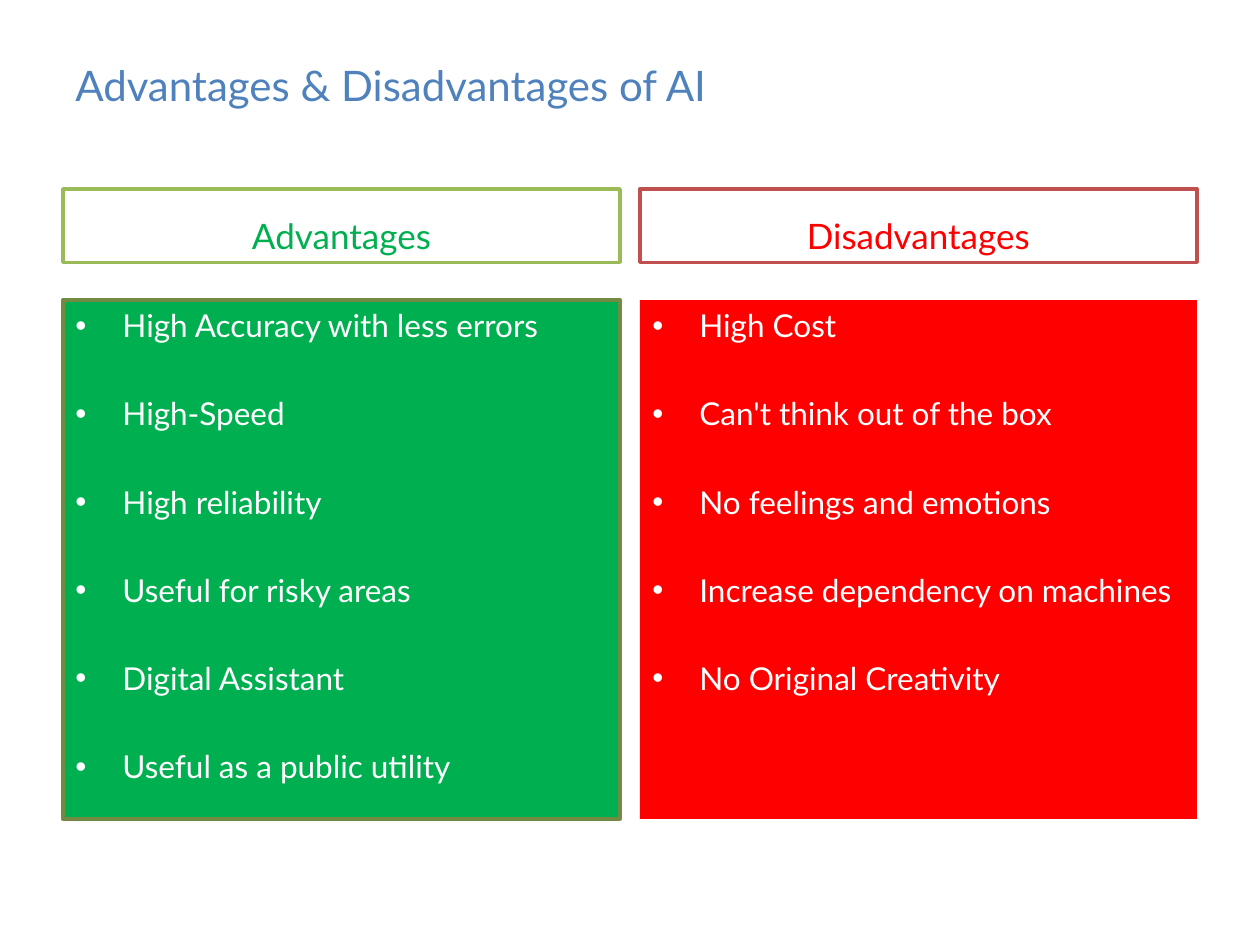
from lxml import etree
from pptx import Presentation
from pptx.dml.color import RGBColor
from pptx.enum import shapes, text
from pptx.oxml import ns
from pptx.util import Cm, Pt

BLUE = RGBColor(0x4F, 0x81, 0xBD)
WHITE = RGBColor(0xFF, 0xFF, 0xFF)
GREEN = RGBColor(0x00, 0xB0, 0x50)
OLIVE = RGBColor(0x73, 0x8A, 0x42)
LIME = RGBColor(0x9B, 0xBB, 0x59)
RED = RGBColor(0xFF, 0x00, 0x00)
BRICK = RGBColor(0xC0, 0x50, 0x4D)

TITLE = "Advantages & Disadvantages of AI"
SIDES = [
    dict(head="Advantages", tint=GREEN, rim=LIME, edge=OLIVE, items=[
        "High Accuracy with less errors",
        "High-Speed",
        "High reliability",
        "Useful for risky areas",
        "Digital Assistant",
        "Useful as a public utility",
    ]),
    dict(head="Disadvantages", tint=RED, rim=BRICK, edge=None, items=[
        "High Cost",
        "Can't think out of the box",
        "No feelings and emotions",
        "Increase dependency on machines",
        "No Original Creativity",
    ]),
]

LEFT, WIDE, GAP = 1.27, 11.23, 0.4
HEAD_TOP, HEAD_HIGH = 3.81, 1.48
LIST_TOP, LIST_HIGH = 6.05, 10.46
INDENT = Cm(0.95)


def write(shape, lines, size, color, anchor, align, bullet=False):
    frame = shape.text_frame
    frame.word_wrap = True
    frame.vertical_anchor = anchor
    for i, line in enumerate(lines):
        para = frame.paragraphs[0] if i == 0 else frame.add_paragraph()
        para.text = line
        para.alignment = align
        if i:
            para.space_before = Pt(28.8)
        if bullet:
            props = para._p.get_or_add_pPr()
            props.set("marL", str(INDENT))
            props.set("indent", str(-INDENT))
            face = etree.SubElement(props, ns.qn("a:buFont"))
            face.set("typeface", "Arial")
            mark = etree.SubElement(props, ns.qn("a:buChar"))
            mark.set("char", "•")
        for name, value in dict(name="Lato", size=Pt(size)).items():
            setattr(para.font, name, value)
        para.font.color.rgb = color


def panel(slide, left, top, high, fill, edge):
    box = slide.shapes.add_shape(
        shapes.MSO_SHAPE.RECTANGLE, Cm(left), Cm(top), Cm(WIDE), Cm(high))
    box.shadow.inherit = False
    box.fill.solid()
    box.fill.fore_color.rgb = fill
    if edge is None:
        box.line.fill.background()
    else:
        box.line.color.rgb = edge
        box.line.width = Pt(2)
    return box


def main():
    deck = Presentation()
    deck.slide_width, deck.slide_height = Cm(25.4), Cm(19.05)
    slide = deck.slides.add_slide(deck.slide_layouts[6])
    anchor, align = text.MSO_ANCHOR, text.PP_ALIGN

    title = slide.shapes.add_textbox(Cm(LEFT), Cm(0.76), Cm(22.86), Cm(1.9))
    write(title, [TITLE], 24, BLUE, anchor.MIDDLE, align.LEFT)

    for i, side in enumerate(SIDES):
        left = LEFT + i * (WIDE + GAP)
        head = panel(slide, left, HEAD_TOP, HEAD_HIGH, WHITE, side["rim"])
        write(head, [side["head"]], 20, side["tint"], anchor.BOTTOM, align.CENTER)
        body = panel(slide, left, LIST_TOP, LIST_HIGH, side["tint"], side["edge"])
        write(body, side["items"], 18, WHITE, anchor.TOP, align.LEFT, bullet=True)

    deck.save("out.pptx")


if __name__ == "__main__":
    main()
